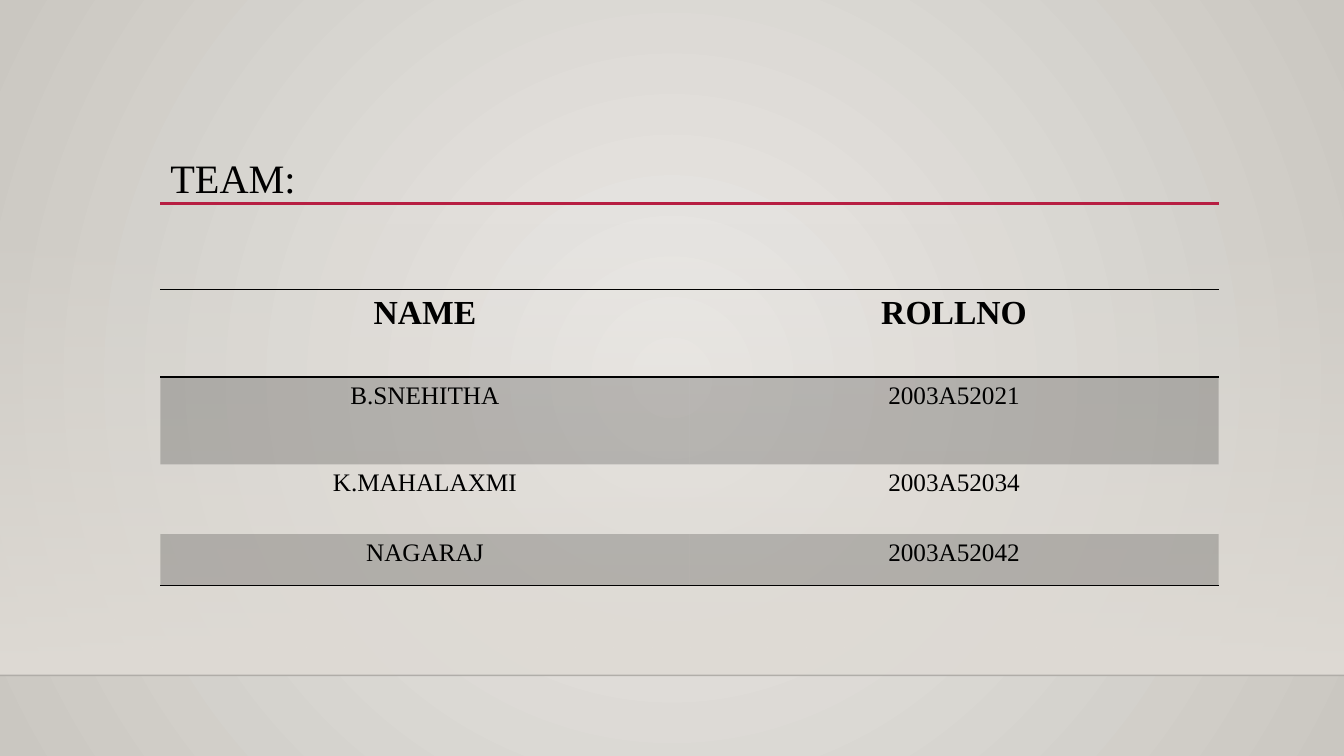
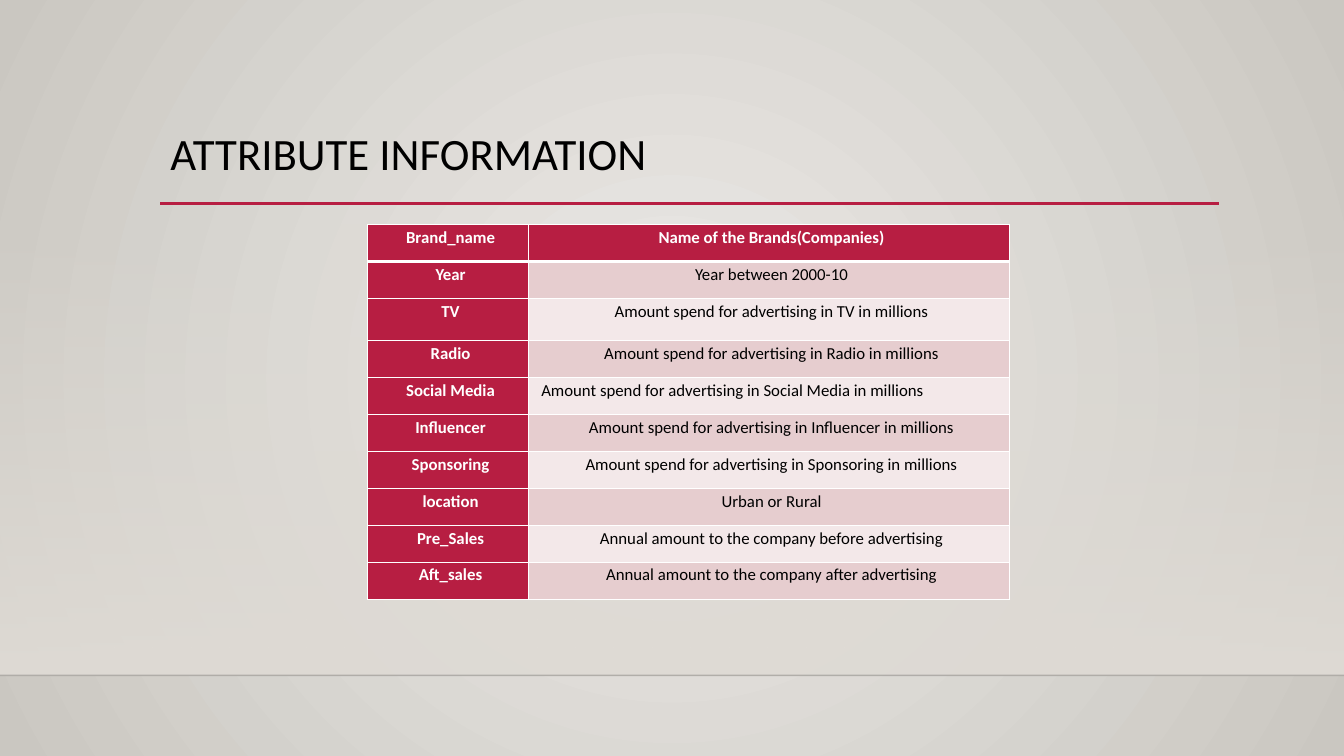
"""Build two table slides that share one background, title rule and floor line."""

from dataclasses import dataclass
from typing import Callable, NamedTuple, Optional

from lxml.etree import SubElement
from pptx import Presentation
from pptx.dml.color import RGBColor
from pptx.enum.shapes import MSO_CONNECTOR as Connector
from pptx.enum.shapes import MSO_SHAPE as Shape
from pptx.enum.text import MSO_ANCHOR as Anchor
from pptx.enum.text import MSO_AUTO_SIZE as AutoSize
from pptx.enum.text import PP_ALIGN as Align
from pptx.oxml.ns import qn
from pptx.util import Cm, Pt


@dataclass(frozen=True)
class Theme:
    """Colours, fonts and type sizes of the presentation."""

    black: str = "000000"
    white: str = "FFFFFF"
    accent: str = "B71E42"
    pink: str = "E6CDCF"
    pale_pink: str = "F3E8E9"
    glow: str = "ECEAE7"
    edge: str = "CAC7C1"
    wall: str = "DFDBD5"
    serif: str = "Times New Roman"
    sans: str = "Calibri"
    serif_title: float = 28.8
    sans_title: float = 32
    heading: float = 24
    body: float = 18
    small: float = 12


THEME = Theme()
SLIDE_WIDTH, SLIDE_HEIGHT = 33.87, 19.05
CONTENT_LEFT, CONTENT_WIDTH = 4.04, 26.67
TITLE_RULE_TOP, WALL_TOP, FLOOR_TOP = 5.13, 5.61, 17.02
NO_GRID_STYLE = "{2D5ABB26-0587-4C30-8999-92F81FD0307C}"


class TextLook(NamedTuple):
    """Font of one piece of text."""

    font: str
    size: float
    color: str = THEME.black
    bold: bool = False


class CellLook(NamedTuple):
    """Text look and fill of one table cell."""

    text: TextLook
    fill: Optional[str] = None
    opacity: int = 100


class Rule(NamedTuple):
    """A straight line, in centimetres and points."""

    left: float
    top: float
    width: float
    color: str
    weight: float
    opacity: int = 100


@dataclass(frozen=True)
class TableSpec:
    """Placement, wording and look of one table."""

    left: float
    top: float
    columns: tuple[float, ...]
    heights: tuple[float, ...]
    rows: tuple[tuple[str, str], ...]
    look: Callable[[int, int], CellLook]
    border_color: str
    row_borders: tuple[float, ...]
    column_border: float = 0
    insets: tuple[float, ...] = (0.25, 0.13, 0.25, 0.13)
    line_spacing: float = 1.0
    left_aligned: tuple[tuple[int, int], ...] = ()


@dataclass(frozen=True)
class SlideSpec:
    """Title and table of one slide."""

    title: str
    title_top: float
    title_look: TextLook
    table: TableSpec


def rgb(color: str) -> RGBColor:
    """Turn a hexadecimal string into a colour."""
    return RGBColor.from_string(color)


def set_opacity(element, percent: int) -> None:
    """Make the first colour inside an element partly transparent."""
    if percent < 100:
        color = element.find(".//" + qn("a:srgbClr"))
        SubElement(color, qn("a:alpha"), val=str(percent * 1000))


def set_gradient(fill, first: str, last: str) -> None:
    """Give a fill a gradient of two colours running downwards."""
    fill.gradient()
    fill.gradient_angle = 270
    for stop, color, position in zip(fill.gradient_stops, (first, last), (0, 1)):
        stop.color.rgb = rgb(color)
        stop.position = position


def format_text(text_frame, look: TextLook, align: Align, spacing: float) -> None:
    """Format every paragraph and run of a text frame."""
    for paragraph in text_frame.paragraphs:
        paragraph.alignment = align
        paragraph.line_spacing = spacing
        for run in paragraph.runs:
            run.font.name = look.font
            run.font.size = Pt(look.size)
            run.font.bold = look.bold
            run.font.color.rgb = rgb(look.color)


def add_rule(slide, rule: Rule):
    """Draw a horizontal line without shadow."""
    right = rule.left + rule.width
    line = slide.shapes.add_connector(
        Connector.STRAIGHT, Cm(rule.left), Cm(rule.top), Cm(right), Cm(rule.top)
    )
    line.line.color.rgb = rgb(rule.color)
    line.line.width = Pt(rule.weight)
    set_opacity(line.element, rule.opacity)
    SubElement(line.element.spPr, qn("a:effectLst"))
    return line


def add_wall(slide):
    """Draw the band that fades in towards the floor line."""
    wall = slide.shapes.add_shape(
        Shape.RECTANGLE, 0, Cm(WALL_TOP), Cm(SLIDE_WIDTH), Cm(FLOOR_TOP - WALL_TOP)
    )
    wall.shadow.inherit = False
    wall.line.fill.background()
    set_gradient(wall.fill, THEME.wall, THEME.wall)
    set_opacity(wall.element, 0)
    return wall


def set_backdrop(master) -> None:
    """Give the master a gradient that glows from the centre."""
    set_gradient(master.background.fill, THEME.glow, THEME.edge)
    linear = master.element.find(".//" + qn("a:lin"))
    gradient = linear.getparent()
    gradient.remove(linear)
    circle = SubElement(gradient, qn("a:path"), {"path": "circle"})
    SubElement(circle, qn("a:fillToRect"), dict.fromkeys("ltrb", "50000"))


def decorate_layout(layout, slide) -> None:
    """Draw the shared shapes and hand them over to the layout."""
    decorations = (
        add_wall(slide),
        add_rule(slide, Rule(0, FLOOR_TOP, SLIDE_WIDTH, THEME.black, 1, 20)),
        add_rule(
            slide, Rule(CONTENT_LEFT, TITLE_RULE_TOP, CONTENT_WIDTH, THEME.accent, 2.5)
        ),
    )
    for shape in decorations:
        layout.shapes.element.append(shape.element)


def set_title(slide, spec: SlideSpec) -> None:
    """Place and format the title so that it ends at the title rule."""
    title = slide.shapes.title
    title.left, title.top = Cm(CONTENT_LEFT), Cm(spec.title_top)
    title.width, title.height = Cm(CONTENT_WIDTH), Cm(TITLE_RULE_TOP - spec.title_top)
    text_frame = title.text_frame
    text_frame.text = spec.title
    text_frame.auto_size = AutoSize.NONE
    text_frame.vertical_anchor = Anchor.TOP
    format_text(text_frame, spec.title_look, Align.LEFT, 0.9)


def set_borders(cell, color: str, weights: tuple[float, ...]) -> None:
    """Draw the left, right, top and bottom borders of a cell."""
    properties = cell._tc.get_or_add_tcPr()
    for index, (side, weight) in enumerate(zip("LRTB", weights)):
        border = SubElement(properties, qn(f"a:ln{side}"), w=str(Pt(weight)))
        properties.insert(index, border)
        if weight:
            fill = SubElement(border, qn("a:solidFill"))
            SubElement(fill, qn("a:srgbClr"), val=color)
        else:
            SubElement(border, qn("a:noFill"))


def format_cell(cell, spec: TableSpec, row: int, column: int) -> None:
    """Fill in and format one cell of a table."""
    look = spec.look(row, column)
    cell.text_frame.text = spec.rows[row][column]
    margins = [Cm(inset) for inset in spec.insets]
    cell.margin_left, cell.margin_top, cell.margin_right, cell.margin_bottom = margins
    align = Align.LEFT if (row, column) in spec.left_aligned else Align.CENTER
    format_text(cell.text_frame, look.text, align, spec.line_spacing)
    if look.fill:
        cell.fill.solid()
        cell.fill.fore_color.rgb = rgb(look.fill)
        set_opacity(cell._tc.tcPr, look.opacity)
    else:
        cell.fill.background()
    side = spec.column_border
    borders = (side, side, spec.row_borders[row], spec.row_borders[row + 1])
    set_borders(cell, spec.border_color, borders)


def add_data_table(slide, spec: TableSpec) -> None:
    """Add a table and format all of its cells."""
    width, height = Cm(sum(spec.columns)), Cm(sum(spec.heights))
    table = slide.shapes.add_table(
        len(spec.heights), len(spec.columns), Cm(spec.left), Cm(spec.top), width, height
    ).table
    table.first_row = table.horz_banding = False
    table._tbl.find(".//" + qn("a:tableStyleId")).text = NO_GRID_STYLE
    for column, column_width in zip(table.columns, spec.columns):
        column.width = Cm(column_width)
    for row_index, row_height in enumerate(spec.heights):
        table.rows[row_index].height = Cm(row_height)
        for column_index in range(len(spec.columns)):
            cell = table.cell(row_index, column_index)
            format_cell(cell, spec, row_index, column_index)


def team_look(row: int, column: int) -> CellLook:
    """Shade every second row below a bold heading."""
    if row == 0:
        return CellLook(TextLook(THEME.serif, THEME.heading, bold=True))
    return CellLook(
        TextLook(THEME.serif, THEME.body), THEME.black if row % 2 else None, 20
    )


def attribute_look(row: int, column: int) -> CellLook:
    """Colour the heading row and column, and band the other cells."""
    if row == 0 or column == 0:
        return CellLook(
            TextLook(THEME.sans, THEME.small, THEME.white, True), THEME.accent
        )
    band = THEME.pink if row % 2 else THEME.pale_pink
    return CellLook(TextLook(THEME.sans, THEME.small), band)


TEAM = (
    ("NAME", "ROLLNO"),
    ("B.SNEHITHA", "2003A52021"),
    ("K.MAHALAXMI", "2003A52034"),
    ("NAGARAJ", "2003A52042"),
)
CHANNELS = ("TV", "Radio", "Social Media", "Influencer", "Sponsoring")
ATTRIBUTES = (
    ("Brand_name", "Name of the Brands(Companies)"),
    ("Year", "Year between 2000-10"),
    *((name, f"Amount spend for advertising in {name} in millions") for name in CHANNELS),
    ("location", "Urban or Rural"),
    ("Pre_Sales", "Annual amount to the company before advertising"),
    ("Aft_sales", "Annual amount to the company after advertising"),
)
TEAM_TABLE = TableSpec(
    CONTENT_LEFT, 7.29, (CONTENT_WIDTH / 2,) * 2, (2.21, 2.2, 1.76, 1.3),
    TEAM, team_look, THEME.black, (1, 1, 0, 0, 1),
)
ATTRIBUTE_TABLE = TableSpec(
    9.27, 5.66, (4.04, 12.14), (0.93,) * 2 + (1.07,) + (0.93,) * 7,
    ATTRIBUTES, attribute_look, THEME.white, (1, 3) + (1,) * 9, 1,
    (0.33, 0.03, 0.2, 0), 1.07, ((4, 1),),
)
SLIDES = (
    SlideSpec("TEAM:", 3.86, TextLook(THEME.serif, THEME.serif_title), TEAM_TABLE),
    SlideSpec(
        "ATTRIBUTE INFORMATION", 3.2, TextLook(THEME.sans, THEME.sans_title),
        ATTRIBUTE_TABLE,
    ),
)


def main() -> None:
    """Build and save the presentation."""
    presentation = Presentation()
    presentation.slide_width, presentation.slide_height = Cm(SLIDE_WIDTH), Cm(SLIDE_HEIGHT)
    layout = presentation.slide_layouts.get_by_name("Title Only")
    set_backdrop(presentation.slide_master)
    for index, spec in enumerate(SLIDES):
        slide = presentation.slides.add_slide(layout)
        if index == 0:
            decorate_layout(layout, slide)
        set_title(slide, spec)
        add_data_table(slide, spec.table)
    presentation.save("out.pptx")


main()
